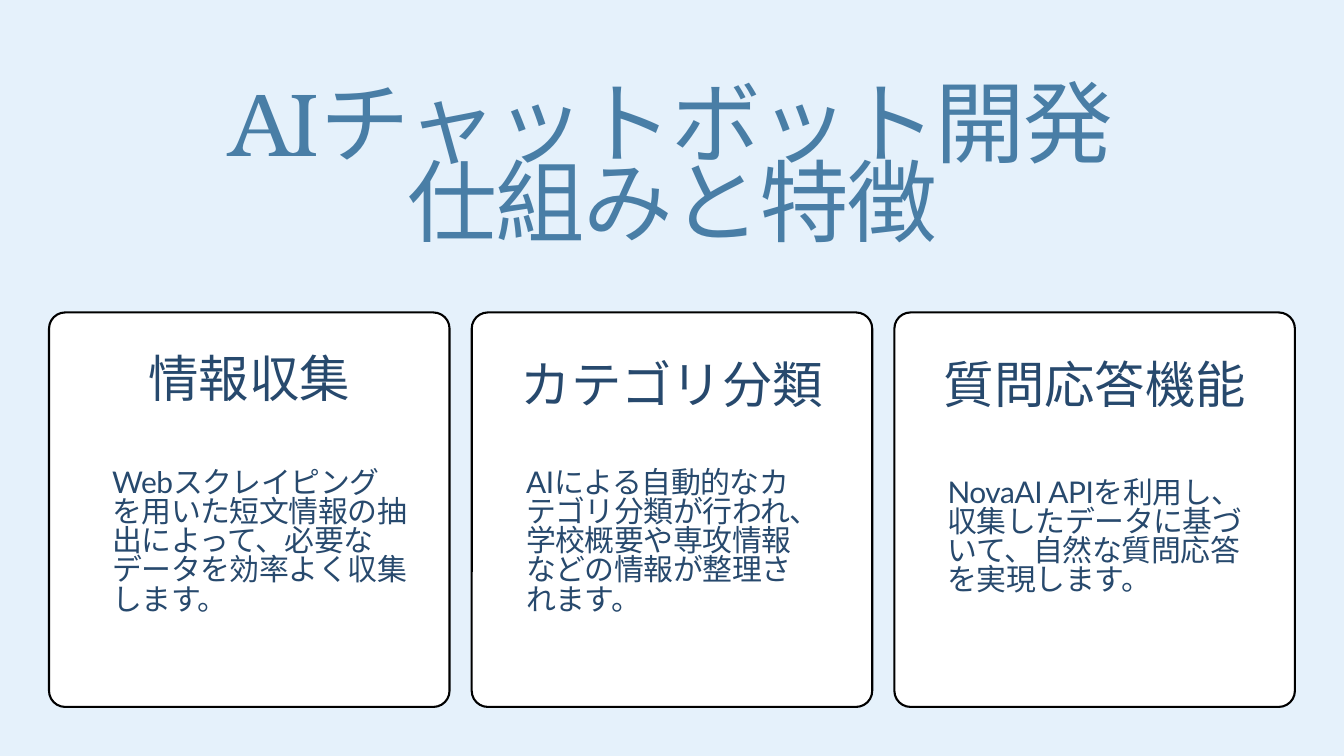
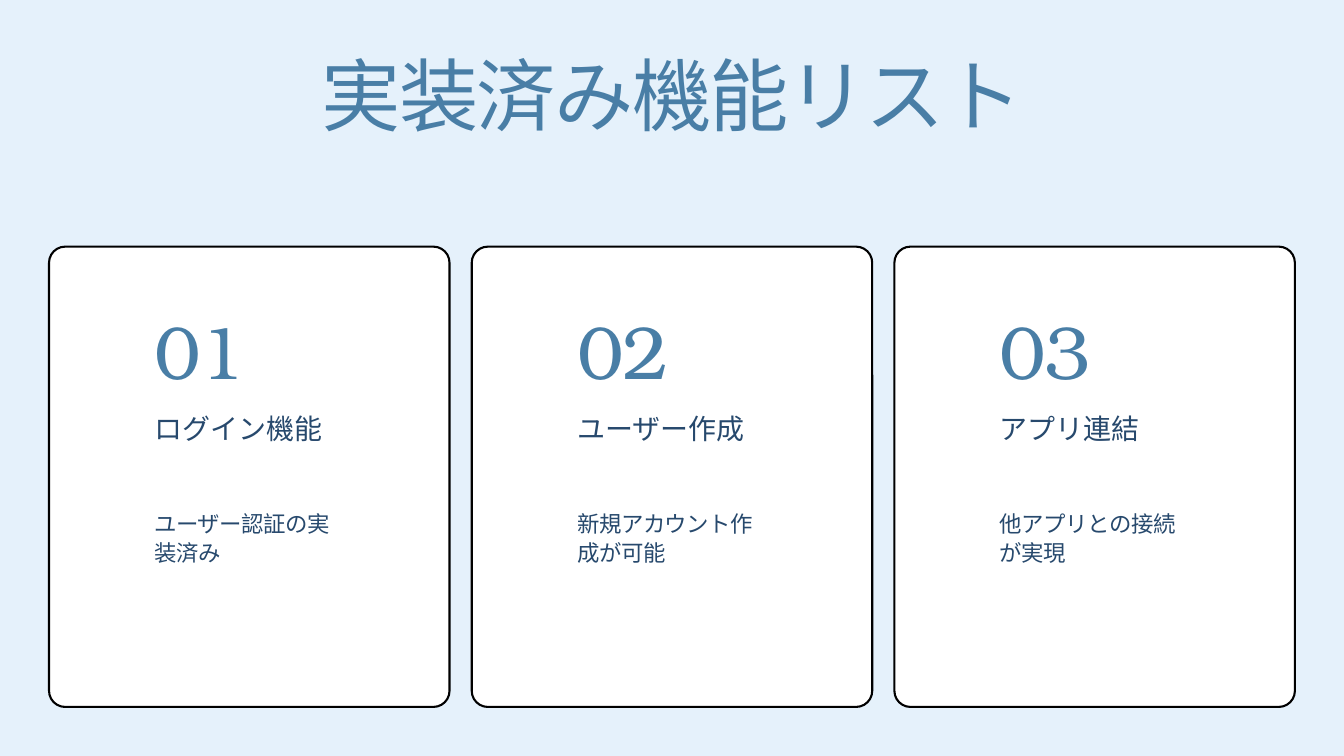
from dataclasses import dataclass

from lxml.etree import SubElement
from pptx import Presentation
from pptx.dml.color import RGBColor
from pptx.enum.shapes import MSO_SHAPE as Shape
from pptx.enum.text import MSO_ANCHOR as Anchor, MSO_AUTO_SIZE as AutoSize, PP_ALIGN as Align
from pptx.oxml.ns import qn
from pptx.util import Inches, Pt


@dataclass(frozen=True)
class TextStyle:
    font: str
    size: float
    leading: float
    color: RGBColor
    tracking: float = 0
    align: Align = Align.LEFT


@dataclass(frozen=True)
class Area:
    left: float
    top: float
    width: float
    height: float

    def lengths(self) -> tuple:
        return tuple(Inches(v) for v in (self.left, self.top, self.width, self.height))


@dataclass(frozen=True)
class TopicCard:
    heading: str
    heading_area: Area
    body: str
    body_area: Area


@dataclass(frozen=True)
class FeatureCard:
    heading: str
    body: str


class Theme:
    SERIF, SANS = "TeX Gyre Bonum", "Lato"
    SKY = RGBColor(0xE5, 0xF1, 0xFB)
    WHITE = RGBColor(0xFF, 0xFF, 0xFF)
    BLACK = RGBColor(0, 0, 0)
    BLUE = RGBColor(0x49, 0x7E, 0xA6)
    NAVY = RGBColor(0x27, 0x49, 0x6D)
    CARD_LINE = Pt(2.25)

    COVER_TITLE = TextStyle(SERIF, 96, 85, BLUE, -1.7, Align.CENTER)
    TITLE = TextStyle(SERIF, 85, 85, BLUE, -1.7, Align.CENTER)
    TOPIC = TextStyle(SERIF, 54, 39, NAVY, align=Align.CENTER)
    TOPIC_BODY = TextStyle(SANS, 32, 31.2, NAVY, -0.5)
    NUMBER = TextStyle(SERIF, 80, 80, BLUE, -1.6)
    FEATURE = TextStyle(SERIF, 30, 39, NAVY)
    FEATURE_BODY = TextStyle(SANS, 24, 31.2, NAVY, -0.5)


# Card grid
CARD_LEFT, CARD_WIDTH, CARD_STEP = 0.73, 5.96, 6.29
CARD_BOTTOM, CARD_RADIUS = 10.52, 0.24
FEATURE_INSET, FEATURE_WIDTH = 1.57, 2.81

TOPICS = [
    TopicCard("情報収集", Area(0.96, 5.53, 5.5, 0.58),
              "Webスクレイピングを用いた短文情報の抽出によって、必要なデータを効率よく収集します。",
              Area(1.67, 7, 4.39, 2.17)),
    TopicCard("カテゴリ分類", Area(7.22, 5.61, 5.56, 0.58),
              "AIによる自動的なカテゴリ分類が行われ、学校概要や専攻情報などの情報が整理されます。",
              Area(7.83, 7, 4.34, 2.17)),
    TopicCard("質問応答機能", Area(13.71, 5.61, 5.17, 0.58),
              "NovaAI APIを利用し、収集したデータに基づいて、自然な質問応答を実現します。",
              Area(14.1, 7.15, 4.39, 1.74)),
]

FEATURES = [
    FeatureCard("ログイン機能", "ユーザー認証の実装済み"),
    FeatureCard("ユーザー作成", "新規アカウント作成が可能"),
    FeatureCard("アプリ連結", "他アプリとの接続が実現"),
]


def write_text(box, lines: list[str], style: TextStyle) -> None:
    frame = box.text_frame
    frame.word_wrap = True
    frame.auto_size = AutoSize.NONE
    frame.vertical_anchor = Anchor.TOP
    frame.margin_left = frame.margin_top = frame.margin_right = frame.margin_bottom = 0
    for index, line in enumerate(lines):
        para = frame.add_paragraph() if index else frame.paragraphs[0]
        para.alignment = style.align
        para.line_spacing = Pt(style.leading)
        span = para.add_run()
        span.text = line
        span.font.name = style.font
        span.font.size = Pt(style.size)
        span.font.color.rgb = style.color
        # Letter spacing and the East Asian typeface
        properties = span._r.get_or_add_rPr()
        properties.set("spc", str(round(style.tracking * 100)))
        SubElement(properties, qn("a:ea")).set("typeface", style.font)


def add_text(page, area: Area, text: str, style: TextStyle) -> None:
    write_text(page.shapes.add_textbox(*area.lengths()), [text], style)


def add_page(deck, lines: list[str], area: Area, style: TextStyle):
    page = deck.slides.add_slide(deck.slide_layouts.get_by_name("Title Only"))
    title = page.shapes.title
    title.left, title.top, title.width, title.height = area.lengths()
    write_text(title, lines, style)
    return page


def add_card(page, column: int, top: float) -> float:
    """Draw one rounded card and return its left edge."""
    left = CARD_LEFT + column * CARD_STEP
    height = CARD_BOTTOM - top
    area = Area(left, top, CARD_WIDTH, height)
    card = page.shapes.add_shape(Shape.ROUNDED_RECTANGLE, *area.lengths())
    card.adjustments[0] = CARD_RADIUS / min(CARD_WIDTH, height)
    card.shadow.inherit = False
    card.fill.solid()
    card.fill.fore_color.rgb = Theme.WHITE
    card.line.color.rgb = Theme.BLACK
    card.line.width = Theme.CARD_LINE
    return left


def add_overview(deck) -> None:
    page = add_page(deck, ["AIチャットボット開発", "仕組みと特徴"],
                    Area(0.46, 1.41, 19.08, 2.38), Theme.COVER_TITLE)
    for column, topic in enumerate(TOPICS):
        add_card(page, column, 4.65)
        add_text(page, topic.heading_area, topic.heading, Theme.TOPIC)
        add_text(page, topic.body_area, topic.body, Theme.TOPIC_BODY)


def add_feature_list(deck) -> None:
    page = add_page(deck, ["実装済み機能リスト"], Area(0.73, 0.92, 18.54, 1.23), Theme.TITLE)
    for column, feature in enumerate(FEATURES):
        left = add_card(page, column, 3.67) + FEATURE_INSET
        rows = [
            (4.76, 1.21, f"{column + 1:02d}", Theme.NUMBER),
            (6.08, 0.52, feature.heading, Theme.FEATURE),
            (7.55, 0.85, feature.body, Theme.FEATURE_BODY),
        ]
        for top, height, text, style in rows:
            add_text(page, Area(left, top, FEATURE_WIDTH, height), text, style)


def main() -> None:
    deck = Presentation()
    deck.slide_width, deck.slide_height = Inches(20), Inches(11.25)
    # Shared background
    backdrop = deck.slide_master.background.fill
    backdrop.solid()
    backdrop.fore_color.rgb = Theme.SKY
    add_overview(deck)
    add_feature_list(deck)
    deck.save("out.pptx")


if __name__ == "__main__":
    main()
